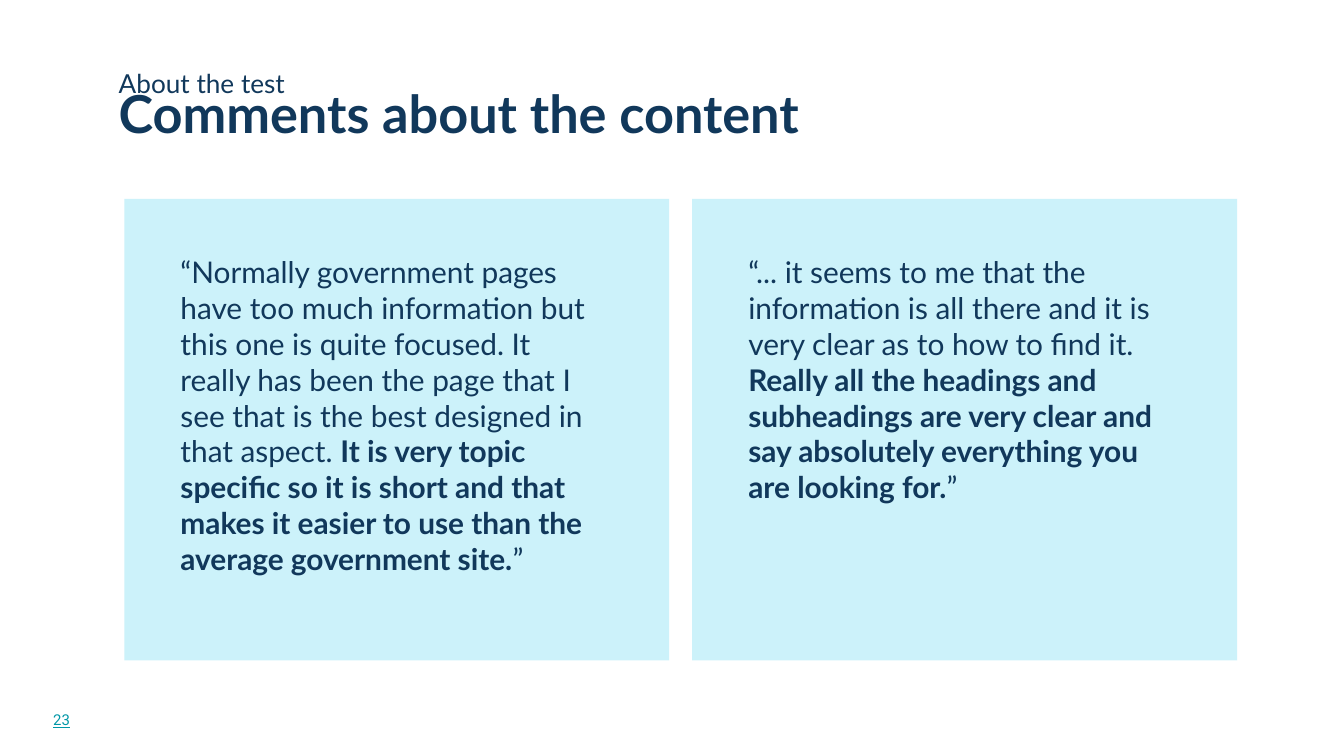
"""Build the slide with two quotes about the content of a tested page."""
from dataclasses import dataclass

from pptx import Presentation
from pptx.dml.color import RGBColor
from pptx.enum.shapes import MSO_SHAPE as Shape
from pptx.enum.text import MSO_ANCHOR as Anchor, PP_ALIGN as Align
from pptx.slide import Slide
from pptx.util import Emu, Pt

PX = 4572
INSET = 20
NAVY = RGBColor(0x11, 0x38, 0x5B)
TEAL = RGBColor(0x00, 0x97, 0xA7)
PALE = RGBColor(0xCC, 0xF2, 0xFA)


@dataclass(frozen=True)
class Box:
    left: int
    top: int
    width: int
    height: int

    def emu(self) -> list[Emu]:
        return [Emu(n * PX) for n in (self.left, self.top, self.width, self.height)]


@dataclass(frozen=True)
class Run:
    text: str
    bold: bool = False
    line: bool = False


@dataclass(frozen=True)
class Label:
    box: Box
    runs: tuple[Run, ...]
    size: int
    font: str = "Lato"
    color: RGBColor = NAVY
    anchor: Anchor = Anchor.TOP
    align: Align = Align.LEFT
    after: int = 0
    lead: float = 1.0


@dataclass(frozen=True)
class Quote:
    card: int
    left: int
    plain: str
    strong: str


QUOTES = (
    Quote(
        185, 249,
        "“Normally government pages have too much information but this one is quite "
        "focused. It really has been the page that I see that is the best designed "
        "in that aspect. ",
        "It is very topic specific so it is short and that makes it easier to use "
        "than the average government site.",
    ),
    Quote(
        1030, 1094,
        "“... it seems to me that the information is all there and it is very clear "
        "as to how to find it. ",
        "Really all the headings and subheadings are very clear and say absolutely "
        "everything you are looking for.",
    ),
)

LABELS = (
    Label(Box(157, 101, 1784, 184), (Run("Comments about the content", bold=True),), 28),
    Label(Box(157, 47, 776, 146), (Run("About the test"),), 14,
          anchor=Anchor.MIDDLE, after=16, lead=1.15),
    Label(Box(4, 1042, 120, 58), (Run("23", line=True),), 8, "Roboto", TEAL,
          Anchor.MIDDLE, Align.RIGHT),
)


def draw_card(slide: Slide, box: Box) -> None:
    card = slide.shapes.add_shape(Shape.RECTANGLE, *box.emu())
    card.shadow.inherit = False
    card.fill.solid()
    card.fill.fore_color.rgb = PALE
    card.line.fill.background()


def draw_label(slide: Slide, label: Label) -> None:
    frame = slide.shapes.add_textbox(*label.box.emu()).text_frame
    frame.word_wrap = True
    frame.vertical_anchor = label.anchor
    frame.margin_left = frame.margin_right = Emu(INSET * PX)
    frame.margin_top = frame.margin_bottom = Emu(INSET * PX)
    para = frame.paragraphs[0]
    para.alignment = label.align
    para.line_spacing = label.lead
    para.space_after = Pt(label.after)
    for item in label.runs:
        run = para.add_run()
        run.text = item.text
        font = run.font
        font.name = label.font
        font.size = Pt(label.size)
        font.bold = item.bold
        font.underline = item.line
        font.color.rgb = label.color


def draw_quote(slide: Slide, quote: Quote) -> None:
    runs = (Run(quote.plain), Run(quote.strong, bold=True), Run("”"))
    draw_label(slide, Label(Box(quote.left, 358, 672, 170), runs, 16, after=10))


def main() -> None:
    deck = Presentation()
    deck.slide_width = Emu(2000 * PX)
    deck.slide_height = Emu(1125 * PX)
    slide = deck.slides.add_slide(deck.slide_layouts[6])
    for quote in QUOTES:
        draw_card(slide, Box(quote.card, 296, 811, 687))
    for label in LABELS[:2]:
        draw_label(slide, label)
    for quote in QUOTES:
        draw_quote(slide, quote)
    draw_label(slide, LABELS[2])
    deck.save("out.pptx")


if __name__ == "__main__":
    main()
